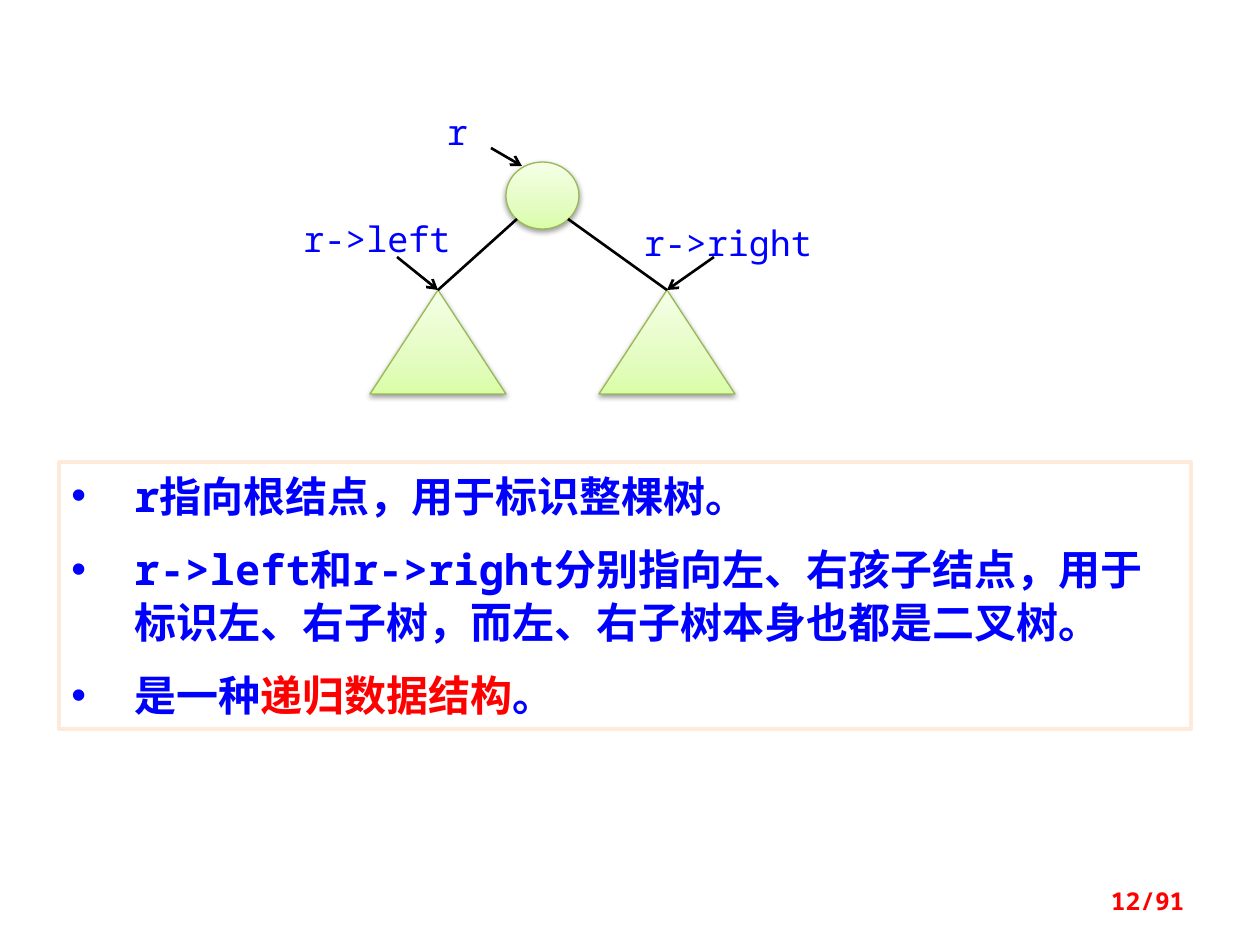
from lxml import etree
from pptx import Presentation
from pptx.dml.color import RGBColor
from pptx.enum.shapes import MSO_CONNECTOR as CONN, MSO_SHAPE as SHAPE
from pptx.enum.text import MSO_ANCHOR as ANCHOR, MSO_AUTO_SIZE as AUTO, PP_ALIGN as ALIGN
from pptx.oxml import parse_xml
from pptx.oxml.ns import nsdecls, qn
from pptx.util import Emu, Pt

BLUE = RGBColor(0x00, 0x00, 0xFF)
RED = RGBColor(0xFF, 0x00, 0x00)
BLACK = RGBColor(0x00, 0x00, 0x00)
WHITE = RGBColor(0xFF, 0xFF, 0xFF)
GREEN = RGBColor(0x98, 0xB9, 0x55)
PEACH = RGBColor(0xFD, 0xEA, 0xDA)
NODE_STOPS = ((0, RGBColor(0xDA, 0xFD, 0xA7)),
              (35, RGBColor(0xE4, 0xFC, 0xC2)),
              (100, RGBColor(0xF5, 0xFF, 0xE7)))
MONO = "Noto Sans Mono"
SANS = "Noto Sans CJK SC"
PX_PER_INCH = 126


def px(*values):
    return [Emu(round(v * 914400 / PX_PER_INCH)) for v in values]


class Deck:
    def __init__(self, width, height):
        self.prs = Presentation()
        self.prs.slide_width, self.prs.slide_height = px(width, height)
        self.s = self.prs.slides.add_slide(self.prs.slide_layouts[6])

    def run(self, p, text, size, color, bold=False, font=MONO):
        r = p.add_run()
        r.text = text
        style = {"size": Pt(size), "bold": bold, "name": font}
        for key, value in style.items():
            setattr(r.font, key, value)
        r.font.color.rgb = color
        etree.SubElement(r._r.get_or_add_rPr(), qn("a:ea"), typeface=SANS)

    def box(self, *at, line=None):
        sp = self.s.shapes.add_shape(SHAPE.RECTANGLE, *px(*at))
        sp.shadow.inherit = False
        sp.fill.solid()
        sp.fill.fore_color.rgb = WHITE
        if line is None:
            sp.line.fill.background()
        else:
            sp.line.color.rgb = line
            sp.line.width = Pt(2)
        tf = sp.text_frame
        tf.word_wrap = True
        tf.vertical_anchor = ANCHOR.TOP
        return tf

    def label(self, text, *at):
        tf = self.box(*at)
        for side in ("left", "top", "right", "bottom"):
            setattr(tf, f"margin_{side}", 0)
        p = tf.paragraphs[0]
        p.alignment = ALIGN.CENTER
        self.run(p, text, 20, BLUE)

    def node(self, kind, *at):
        sp = self.s.shapes.add_shape(kind, *px(*at))
        stops = "".join(f'<a:gs pos="{pos * 1000}"><a:srgbClr val="{color}"/></a:gs>'
                        for pos, color in NODE_STOPS)
        sp._element.spPr.append(parse_xml(
            f'<a:gradFill {nsdecls("a")} rotWithShape="1"><a:gsLst>{stops}</a:gsLst>'
            '<a:lin ang="16200000" scaled="0"/></a:gradFill>'))
        sp.line.color.rgb = GREEN
        sp.line.width = Pt(0.75)
        sp.shadow.inherit = False
        sp._element.spPr.find(qn("a:effectLst")).append(parse_xml(
            f'<a:outerShdw {nsdecls("a")} blurRad="40000" dist="20000" dir="5400000" '
            'rotWithShape="0"><a:srgbClr val="000000"><a:alpha val="38000"/>'
            '</a:srgbClr></a:outerShdw>'))

    def line(self, start, end, arrow=False):
        c = self.s.shapes.add_connector(CONN.STRAIGHT, *px(*start, *end))
        c.line.color.rgb = BLACK
        c.line.width = Pt(1.5)
        if arrow:
            etree.SubElement(c.line._get_or_add_ln(), qn("a:tailEnd"), type="arrow")
        etree.SubElement(c._element.spPr, qn("a:effectLst"))

    def bullets(self, items, *at):
        tf = self.box(*at, line=PEACH)
        tf.auto_size = AUTO.SHAPE_TO_FIT_TEXT
        for i, runs in enumerate(items):
            p = tf.paragraphs[0] if i == 0 else tf.add_paragraph()
            pPr = p._p.get_or_add_pPr()
            pPr.set("marL", "457200")
            pPr.set("indent", "-457200")
            etree.SubElement(pPr, qn("a:buFont"), typeface="Arial")
            etree.SubElement(pPr, qn("a:buChar"), char="•")
            style = {"alignment": ALIGN.LEFT, "line_spacing": Pt(30),
                     "space_before": Pt(12 if i else 0)}
            for key, value in style.items():
                setattr(p, key, value)
            for text, color, font in runs:
                self.run(p, text, 24, color, True, font)

    def page_number(self, text, *at):
        tf = self.s.shapes.add_textbox(*px(*at)).text_frame
        tf.word_wrap = True
        tf.vertical_anchor = ANCHOR.MIDDLE
        p = tf.paragraphs[0]
        p.alignment = ALIGN.RIGHT
        self.run(p, text, 14, RED, True)


def main():
    deck = Deck(1260, 945)

    # Labels of the three pointers
    deck.label("r->left", 295, 218, 164, 39)
    deck.label("r", 433, 111, 49, 37)
    deck.label("r->right", 640, 222, 176, 37)

    # Root and its two subtrees, each reached by an edge and a pointer
    deck.node(SHAPE.OVAL, 506, 162, 73, 67)
    deck.line((491, 148), (522, 166), arrow=True)
    for apex, edge_x, pointer_x in ((438, 517, 397), (667, 568, 714)):
        deck.node(SHAPE.ISOSCELES_TRIANGLE, apex - 68, 290, 136, 104)
        deck.line((edge_x, 219), (apex, 290))
        deck.line((pointer_x, 257), (apex, 290), arrow=True)

    # Explanation
    deck.bullets([
        [("r指向根结点，用于标识整棵树。", BLUE, MONO)],
        [("r->left和r->right分别指向左、右孩子结点，用于标识左、右子树，"
          "而左、右子树本身也都是二叉树。", BLUE, MONO)],
        [("是一种", BLUE, MONO), ("递归数据结构", RED, SANS), ("。", BLUE, MONO)],
    ], 59, 462, 1132, 267)

    deck.page_number("12/91", 903, 876, 294, 50)
    deck.prs.save("out.pptx")


if __name__ == "__main__":
    main()
